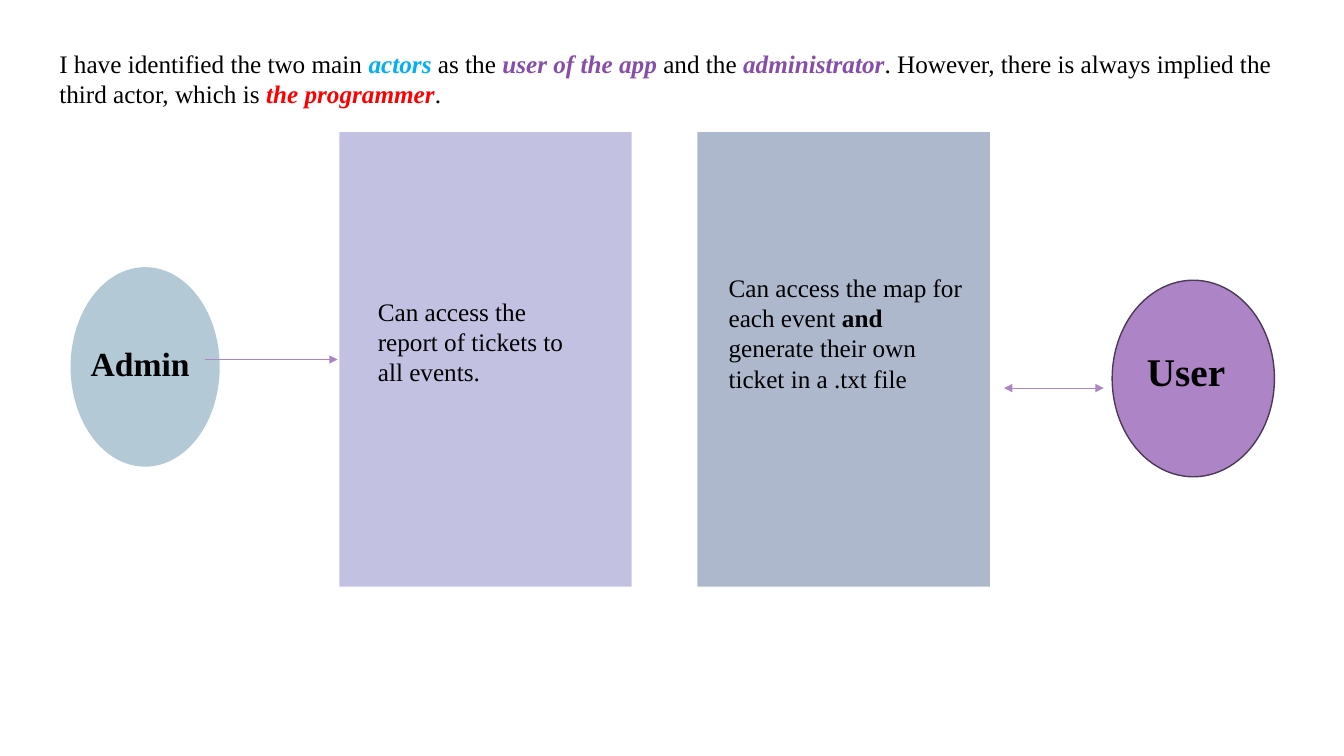
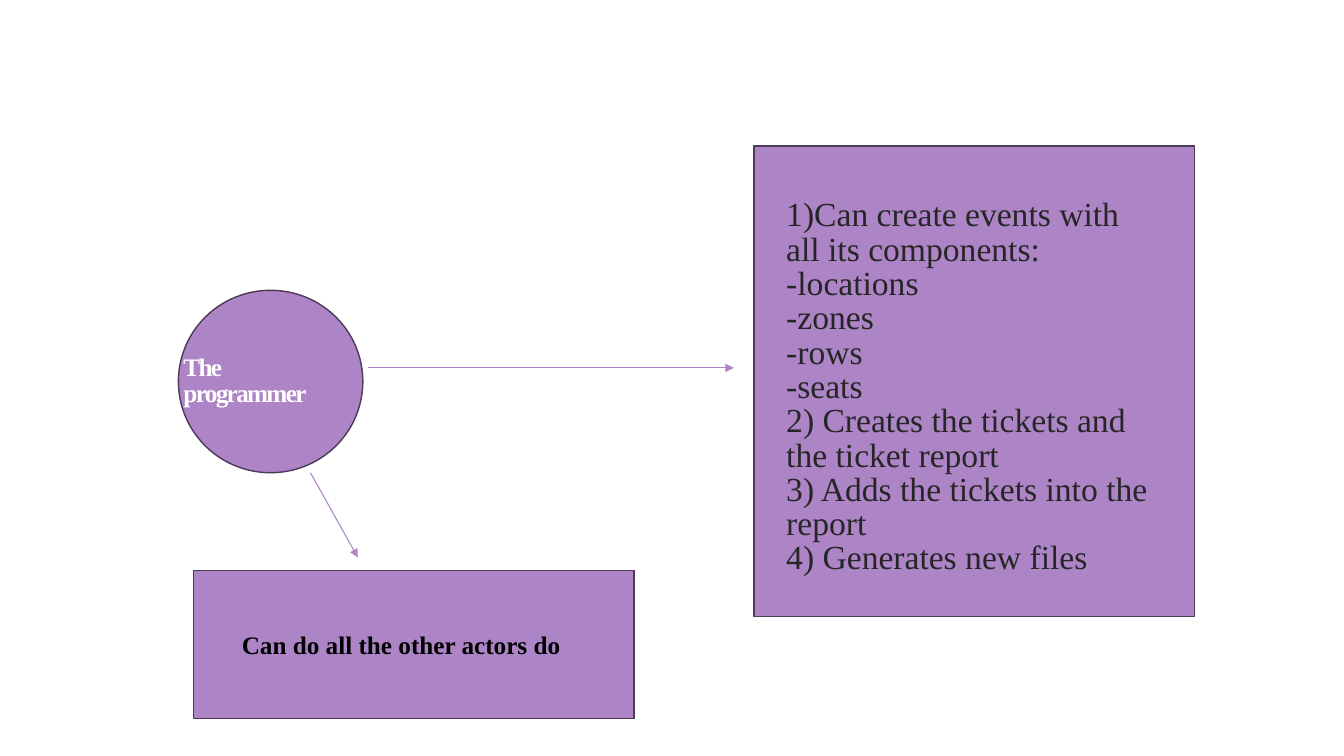
from lxml.etree import SubElement
from pptx import Presentation
from pptx.dml.color import RGBColor
from pptx.enum.shapes import MSO_CONNECTOR as Connector, MSO_SHAPE as Shape
from pptx.enum.text import MSO_ANCHOR as Anchor, MSO_AUTO_SIZE as AutoSize, PP_ALIGN as Align
from pptx.oxml.ns import qn
from pptx.util import Inches, Pt

COLUMNS, ROWS = 40, 22.5
CELL = 1 / 3  # inches, both ways
CONTENT_LAYOUT, BLANK_LAYOUT = 1, 6

BLACK, WHITE, DARK_GREY = "000000", "FFFFFF", "262626"
PURPLE, OUTLINE = "AD84C6", "4C3A57"
LILAC, SLATE, TEAL = "8784C7", "5D739A", "6997AF"
CYAN, VIOLET, RED = "00B0F0", "874EA9", "FF0000"


def rgb(color):
    return RGBColor.from_string(color)


def grid(*cells):
    """Turn grid columns and rows into slide lengths."""
    return [Inches(cell * CELL) for cell in cells]


class Deck:
    font_name = "Times New Roman"
    tight = 0.85

    def __init__(self):
        self.presentation = Presentation()
        self.presentation.slide_width, self.presentation.slide_height = grid(COLUMNS, ROWS)
        self.slide = None

    def add_slide(self, layout):
        self.slide = self.presentation.slides.add_slide(
            self.presentation.slide_layouts[layout])

    def shape(self, kind, box, fill=PURPLE, outline=OUTLINE, opacity=100):
        shape = self.slide.shapes.add_shape(kind, *grid(*box))
        shape.shadow.inherit = False
        shape.fill.solid()
        shape.fill.fore_color.rgb = rgb(fill)
        if opacity < 100:
            color = shape._element.spPr.find(".//" + qn("a:srgbClr"))
            SubElement(color, qn("a:alpha"), val=str(opacity * 1000))
        if outline:
            shape.line.color.rgb = rgb(outline)
            shape.line.width = Pt(1)
        else:
            shape.line.fill.background()

    def soft_shape(self, kind, box, fill):
        """Draw a half-transparent shape without an outline."""
        self.shape(kind, box, fill, outline=None, opacity=50)

    def arrow(self, start, end, both_ways=False):
        connector = self.slide.shapes.add_connector(
            Connector.STRAIGHT, *grid(*start, *end))
        connector.line.color.rgb = rgb(PURPLE)
        connector.line.width = Pt(0.75)
        line = connector.line._get_or_add_ln()
        for end_name in ("headEnd", "tailEnd") if both_ways else ("tailEnd",):
            SubElement(line, qn("a:" + end_name), type="triangle")
        SubElement(connector._element.spPr, qn("a:effectLst"))

    def run(self, paragraph, text, size, color=BLACK, bold=False, italic=False):
        run = paragraph.add_run()
        run.text = text
        font = run.font
        font.name, font.size = self.font_name, Pt(size)
        font.bold, font.italic = bold, italic
        font.color.rgb = rgb(color)
        return run

    def text(self, box, runs, size=18):
        """Add a text box from (text, style) runs."""
        frame = self.slide.shapes.add_textbox(*grid(*box)).text_frame
        frame.word_wrap = True
        frame.auto_size = AutoSize.SHAPE_TO_FIT_TEXT
        for text, style in runs:
            self.run(frame.paragraphs[0], text, size, **style)

    def place(self, placeholder, box, anchor):
        """Move a placeholder to the box, in front of the shapes drawn so far."""
        placeholder.left, placeholder.top, placeholder.width, placeholder.height = grid(*box)
        self.slide.shapes._spTree.append(placeholder._element)
        frame = placeholder.text_frame
        frame.word_wrap = True
        frame.auto_size = AutoSize.NONE
        frame.vertical_anchor = anchor
        return frame

    def title(self, box, text):
        frame = self.place(self.slide.shapes.title, box, Anchor.MIDDLE)
        paragraph = frame.paragraphs[0]
        paragraph.alignment = Align.LEFT
        paragraph.line_spacing = self.tight
        run = self.run(paragraph, text, 18, WHITE, bold=True)
        run.font._element.set("spc", "-120")

    def body(self, box, lines):
        frame = self.place(self.slide.placeholders[1], box, Anchor.TOP)
        for number, line in enumerate(lines):
            paragraph = frame.add_paragraph() if number else frame.paragraphs[0]
            paragraph.line_spacing = self.tight
            paragraph.space_before = Pt(0)
            properties = paragraph._p.get_or_add_pPr()
            properties.set("marL", str(Inches(0.1)))
            properties.set("indent", "0")
            SubElement(properties, qn("a:buNone"))
            self.run(paragraph, line, 24, DARK_GREY)


def build_actors(deck):
    plain, bold = {}, {"bold": True}

    def accent(color):
        return {"color": color, "bold": True, "italic": True}

    deck.add_slide(BLANK_LAYOUT)
    panel_top, panel_size = 3.93, (8.7, 13.53)
    deck.soft_shape(Shape.RECTANGLE, (10.1, panel_top, *panel_size), LILAC)
    deck.soft_shape(Shape.FLOWCHART_PROCESS, (20.76, panel_top, *panel_size), SLATE)
    deck.soft_shape(Shape.OVAL, (2.1, 7.95, 4.44, 5.94), TEAL)
    deck.shape(Shape.OVAL, (33.1, 8.34, 4.83, 5.85))
    deck.arrow((6.09, 10.7), (10.05, 10.7))
    deck.arrow((29.88, 11.55), (32.85, 11.55), both_ways=True)

    deck.text((10.95, 8.67, 6.87, 3.03),
              [("Can access the report of tickets to all events.", plain)])
    deck.text((2.4, 10.05, 3.96, 1.5), [("Admin", bold)], size=24)
    deck.text((21.39, 7.95, 7.56, 3.93), [
        ("Can access the map for each event ", plain),
        ("and ", bold),
        ("generate their own ticket in a .txt file", plain),
    ])
    deck.text((33.84, 10.2, 3.24, 1.71), [("User", bold)], size=28)
    deck.text((1.47, 1.29, 36.66, 2.13), [
        ("I have identified the two main ", plain),
        ("actors", accent(CYAN)),
        (" as the ", plain),
        ("user of the app ", accent(VIOLET)),
        ("and the ", plain),
        ("administrator", accent(VIOLET)),
        (". However, there is always implied the third actor, which is ", plain),
        ("the programmer", accent(RED)),
        (".", plain),
    ])


def build_programmer(deck):
    deck.add_slide(CONTENT_LAYOUT)
    box_width = 13.11
    deck.shape(Shape.OVAL, (5.31, 8.64, 5.49, 5.43))
    deck.title((5.16, 8.64, 5.49, 5.43), "The programmer")
    deck.shape(Shape.RECTANGLE, (22.44, 4.35, box_width, 14))
    deck.body((22.8, 5.79, 11.82, 12.36), [
        "1)Can create events with all its components:",
        "-locations",
        "-zones",
        "-rows",
        "-seats",
        "2) Creates the tickets and the ticket report",
        "3) Adds the tickets into the report",
        "4) Generates new files",
    ])
    deck.arrow((10.95, 10.95), (21.84, 10.95))
    deck.shape(Shape.RECTANGLE, (5.76, 16.98, box_width, 4.41))
    deck.text((6.9, 18.57, 10.83, 1.2),
              [("Can do all the other actors do", {"bold": True})])
    deck.arrow((9.24, 14.07), (10.65, 16.59))


def main():
    deck = Deck()
    build_actors(deck)
    build_programmer(deck)
    deck.presentation.save("out.pptx")


if __name__ == "__main__":
    main()
